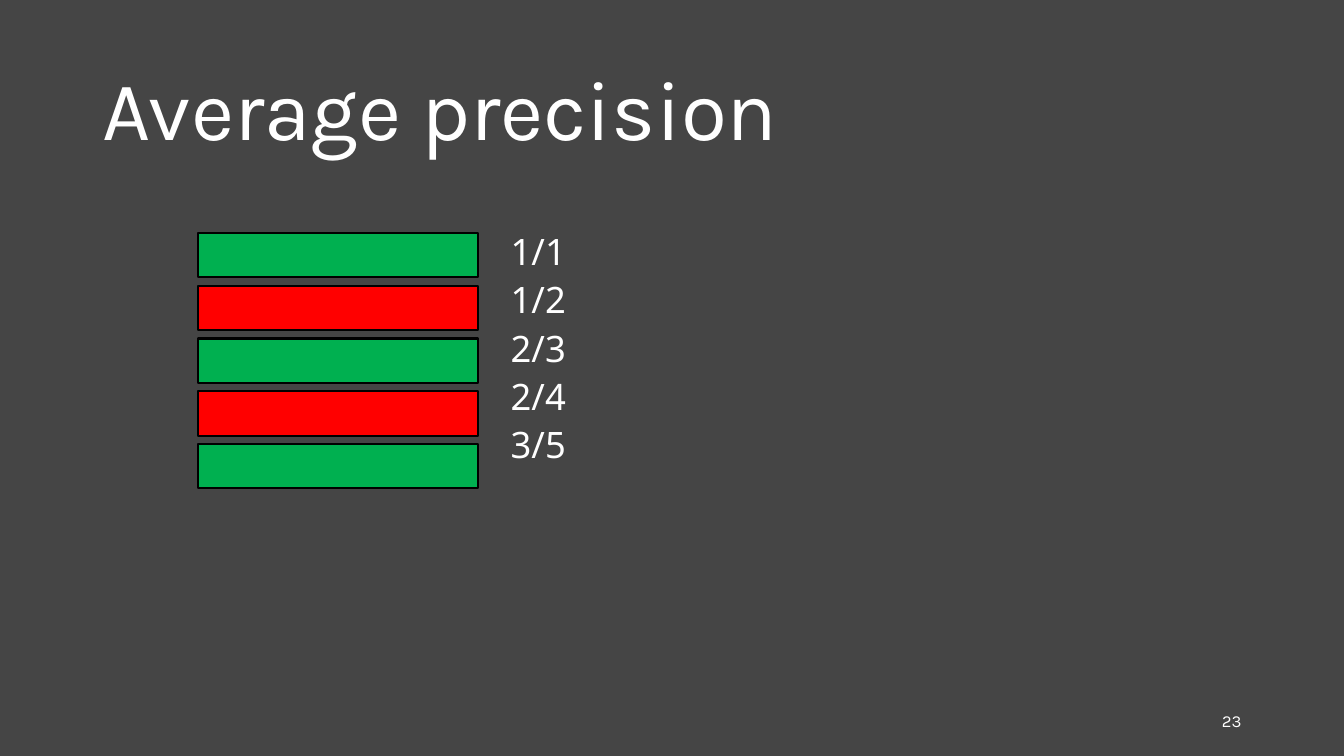
from pptx import Presentation
from pptx.dml.color import RGBColor
from pptx.enum.shapes import MSO_SHAPE as Shape
from pptx.enum.text import MSO_ANCHOR as Anchor, MSO_AUTO_SIZE as AutoSize, PP_ALIGN as Align
from pptx.util import Cm, Pt

BACKGROUND = RGBColor(0x45, 0x45, 0x45)
WHITE = RGBColor(0xFF, 0xFF, 0xFF)
BLACK = RGBColor(0x00, 0x00, 0x00)
RELEVANT = RGBColor(0x00, 0xB0, 0x50)
IRRELEVANT = RGBColor(0xFF, 0x00, 0x00)

RESULTS = [
    ("1/1", RELEVANT),
    ("1/2", IRRELEVANT),
    ("2/3", RELEVANT),
    ("2/4", IRRELEVANT),
    ("3/5", RELEVANT),
]
LIST_LEFT = Cm(5)
BAR_TOP, BAR_PITCH = Cm(5.87), Cm(1.33)
BAR_WIDTH, BAR_HEIGHT = Cm(7.04), Cm(1.12)


def set_attributes(target, values):
    """Set each named value on the target."""
    for name, value in values.items():
        setattr(target, name, value)


def place(shape, left, top, width, height):
    """Move and size a shape."""
    set_attributes(shape, {"left": left, "top": top, "width": width, "height": height})


def write_lines(shape, lines, font, size, frame_format, paragraph_format):
    """Fill a shape with one white paragraph for each line."""
    frame = shape.text_frame
    frame.text = "\n".join(lines)
    set_attributes(frame, {"word_wrap": True, "auto_size": AutoSize.NONE, **frame_format})
    for paragraph in frame.paragraphs:
        set_attributes(paragraph, paragraph_format)
        for run in paragraph.runs:
            set_attributes(run.font, {"name": font, "size": Pt(size)})
            run.font.color.rgb = WHITE


def add_text(slide, box, *text_format):
    """Add a formatted text box."""
    write_lines(slide.shapes.add_textbox(*box), *text_format)


def add_bar(slide, row, color):
    """Add the bar of one ranked result."""
    top = BAR_TOP + row * BAR_PITCH
    bar = slide.shapes.add_shape(Shape.RECTANGLE, LIST_LEFT, top, BAR_WIDTH, BAR_HEIGHT)
    bar.shadow.inherit = False
    bar.fill.solid()
    bar.fill.fore_color.rgb = color
    bar.line.color.rgb = BLACK
    bar.line.width = Pt(1.5)


def main():
    """Build the slide on average precision."""
    presentation = Presentation()
    set_attributes(presentation, {"slide_width": Cm(33.87), "slide_height": Cm(19.05)})
    slide = presentation.slides.add_slide(presentation.slide_layouts[5])
    slide.background.fill.solid()
    slide.background.fill.fore_color.rgb = BACKGROUND

    title = slide.shapes.title
    place(title, Cm(2.33), Cm(1.01), Cm(29.21), Cm(3.68))
    write_lines(title, ["Average precision"], "Karla", 60,
                {"vertical_anchor": Anchor.MIDDLE},
                {"alignment": Align.LEFT, "line_spacing": 0.9})

    add_text(slide, (LIST_LEFT, Cm(5.82), Cm(26.31), Cm(11.61)),
             [precision for precision, _ in RESULTS], "Noto Sans", 26,
             {"margin_left": Cm(7.87), "vertical_anchor": Anchor.TOP},
             {"line_spacing": 0.85, "space_before": Pt(8)})
    for row, (_, color) in enumerate(RESULTS):
        add_bar(slide, row, color)

    add_text(slide, (Cm(23.92), Cm(17.66), Cm(7.62), Cm(1.01)), ["23"], "Karla", 12,
             {"vertical_anchor": Anchor.MIDDLE}, {"alignment": Align.RIGHT})
    presentation.save("out.pptx")


if __name__ == "__main__":
    main()
